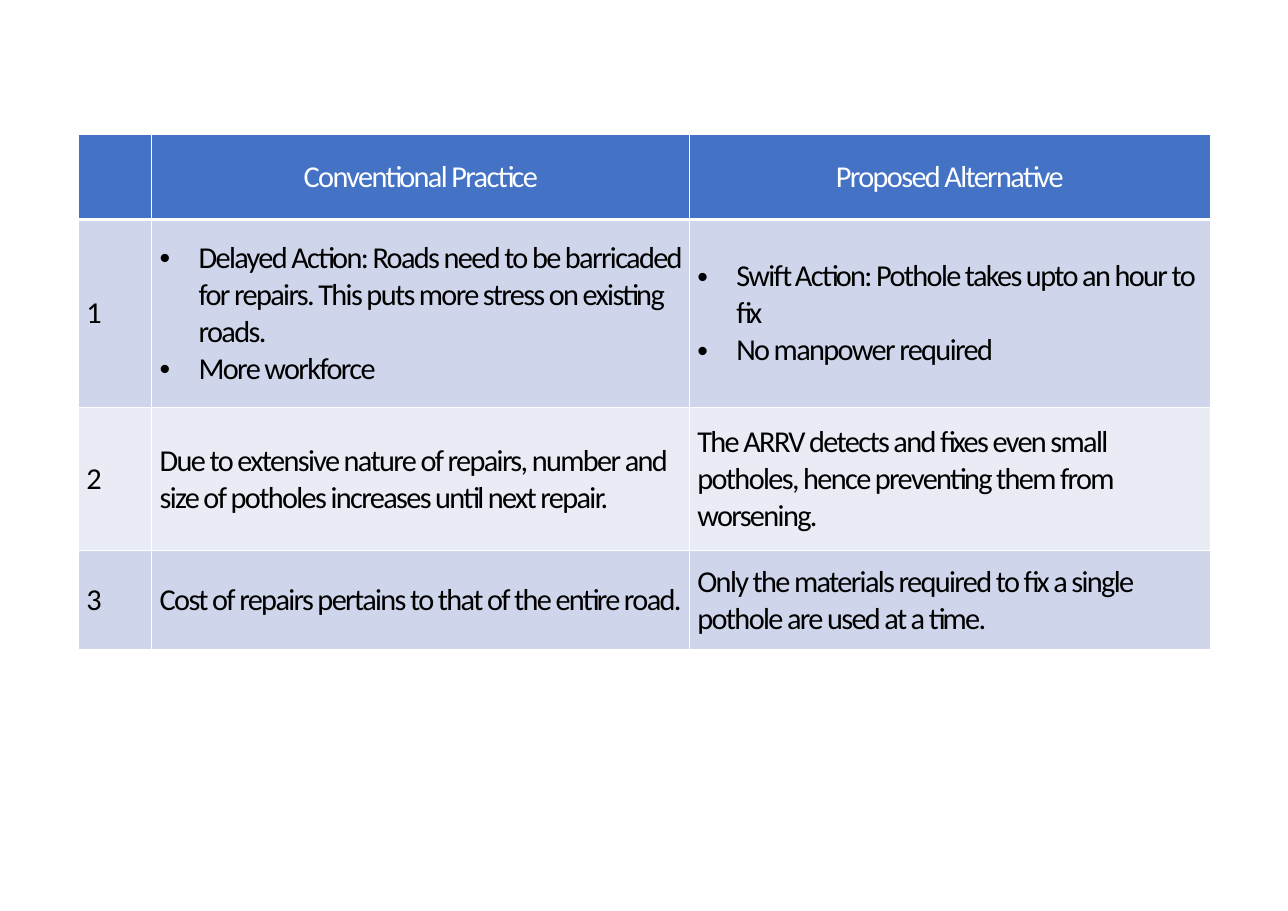
from lxml.etree import SubElement
from pptx import Presentation
from pptx.dml.color import RGBColor
from pptx.enum.text import MSO_ANCHOR as Anchor, PP_ALIGN as Align
from pptx.oxml import parse_xml
from pptx.oxml.ns import nsdecls, qn
from pptx.util import Pt

PX = 9144
COLORS = {"header": "4472C4", "odd": "CFD5EA", "even": "E9EBF5",
          "border": "FFFFFF", "header_text": "FFFFFF", "text": "000000"}
TABLE_BOX = (101, 173, 1452, 661)
COLUMN_WIDTHS = (94, 690, 668)
ROW_HEIGHTS = (109, 241, 184, 127)
BULLET_INDENT = 50
COMPARISON = [
    ([""], ["Conventional Practice"], ["Proposed Alternative"]),
    (["1"],
     ["Delayed Action: Roads need to be barricaded for repairs. "
      "This puts more stress on existing roads.", "More workforce"],
     ["Swift Action: Pothole takes upto an hour to fix", "No manpower required"]),
    (["2"],
     ["Due to extensive nature of repairs, number and size of potholes "
      "increases until next repair."],
     ["The ARRV detects and fixes even small potholes, "
      "hence preventing them from worsening."]),
    (["3"],
     ["Cost of repairs pertains to that of the entire road."],
     ["Only the materials required to fix a single pothole are used at a time."]),
]


def rgb(name):
    return RGBColor.from_string(COLORS[name])


def add_borders(cell, top, bottom):
    properties = cell._tc.get_or_add_tcPr()
    for index, (side, points) in enumerate(
            {"L": 1, "R": 1, "T": top, "B": bottom}.items()):
        properties.insert(index, parse_xml(
            f'<a:ln{side} {nsdecls("a")} w="{Pt(points)}"><a:solidFill>'
            f'<a:srgbClr val="{COLORS["border"]}"/></a:solidFill></a:ln{side}>'))


def add_bullet(para):
    properties = para._p.get_or_add_pPr()
    properties.set("marL", str(BULLET_INDENT * PX))
    properties.set("indent", str(-BULLET_INDENT * PX))
    SubElement(properties, qn("a:buFont")).set("typeface", "Arial")
    SubElement(properties, qn("a:buChar")).set("char", "•")


def fill_cell(cell, lines, row):
    header = row == 0
    cell.fill.solid()
    cell.fill.fore_color.rgb = rgb("header" if header else "odd" if row % 2 else "even")
    add_borders(cell, top=3 if row == 1 else 1, bottom=3 if header else 1)
    cell.vertical_anchor = Anchor.MIDDLE
    cell.text_frame.text = "\n".join(lines)
    for para in cell.text_frame.paragraphs:
        para.alignment = Align.CENTER if header else Align.LEFT
        if len(lines) > 1:
            add_bullet(para)
        for span in para.runs:
            span.font.name = "Calibri"
            span.font.size = Pt(28)
            span.font.bold = False
            span.font.color.rgb = rgb("header_text" if header else "text")
            span._r.get_or_add_rPr().set("spc", "-150")


def add_comparison_table(page, box):
    frame = page.shapes.add_table(
        len(ROW_HEIGHTS), len(COLUMN_WIDTHS), *(length * PX for length in box))
    table = frame.table
    for column, width in zip(table.columns, COLUMN_WIDTHS):
        column.width = width * PX
    for table_row, height in zip(table.rows, ROW_HEIGHTS):
        table_row.height = height * PX
    for row, entries in enumerate(COMPARISON):
        for column, lines in enumerate(entries):
            fill_cell(table.cell(row, column), lines, row)


def main():
    deck = Presentation()
    deck.slide_width = 1653 * PX
    deck.slide_height = 1169 * PX
    page = deck.slides.add_slide(deck.slide_layouts[6])
    add_comparison_table(page, TABLE_BOX)
    deck.save("out.pptx")


if __name__ == "__main__":
    main()
